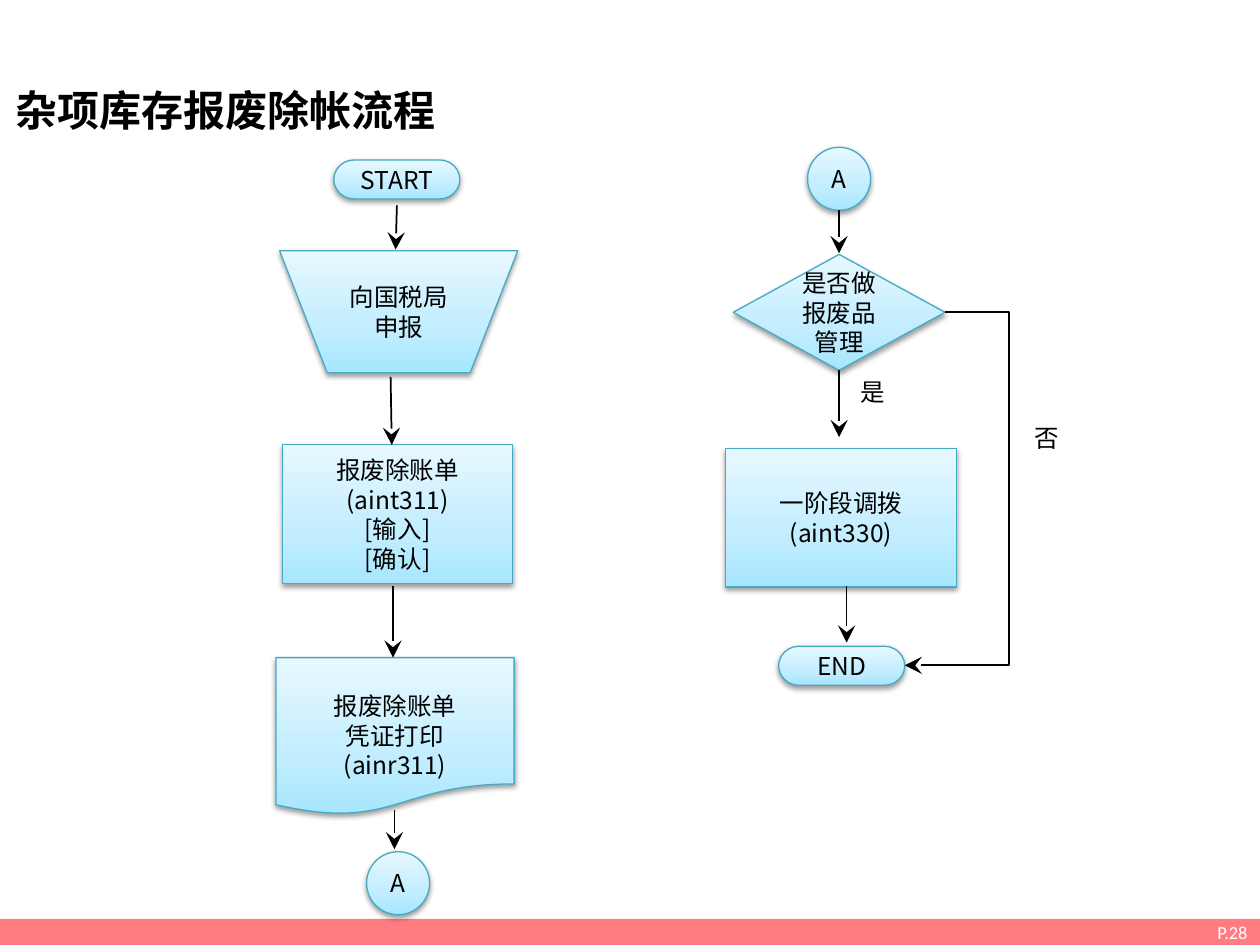
from pptx import Presentation
from pptx import oxml
from pptx.dml.color import RGBColor
from pptx.enum import shapes, text
from pptx.oxml import ns
from pptx.util import Pt

BLACK = RGBColor(0, 0, 0)
WHITE = RGBColor(255, 255, 255)
CORAL = RGBColor(0xFF, 0x7C, 0x80)
TEAL = RGBColor(0x46, 0xAA, 0xC5)
DEEP = RGBColor(0xA7, 0xE6, 0xFF)
MID = RGBColor(0xC1, 0xED, 0xFF)
PALE = RGBColor(0xE7, 0xF8, 0xFF)
SANS = "Noto Sans CJK SC"
KIND = shapes.MSO_SHAPE
LINK = shapes.MSO_CONNECTOR
ALIGN = text.PP_ALIGN
BODY = {"size": Pt(14), "name": SANS, "bold": False}
HEAD = {"size": Pt(24), "name": SANS, "bold": True}
FOOT = {"size": Pt(10.5), "name": "Calibri", "bold": False}
PILL = (72, 22.3)
DISC = (36, 36)
CARD = (131.8, 79.2)


def xml(tag, body="", attrs=""):
    """Make a drawing element from its tag, attributes and inner XML."""
    return oxml.parse_xml(f"<a:{tag} {ns.nsdecls('a')} {attrs}>{body}</a:{tag}>")


def write(frame, lines, style, color=BLACK, align=ALIGN.LEFT):
    """Fill a text frame with one paragraph for each line."""
    for i, line in enumerate(lines):
        para = frame.paragraphs[0] if i == 0 else frame.add_paragraph()
        para.alignment = align
        run = para.add_run()
        run.text = line
        for key, val in style.items():
            setattr(run.font, key, val)
        run.font.color.rgb = color
        run._r.get_or_add_rPr().append(xml("ea", attrs=f'typeface="{style["name"]}"'))


def node(slide, box, kind, spot, size, lines, top=3.6):
    """Draw a shaded flow step at a spot within the box."""
    step = slide.shapes.add_shape(
        kind, Pt(box[0] + spot[0]), Pt(box[1] + spot[1]), Pt(size[0]), Pt(size[1]))
    step.line.color.rgb = TEAL
    step.line.width = Pt(0.75)
    stops = "".join(f'<a:gs pos="{pos}000"><a:srgbClr val="{hue}"/></a:gs>'
                    for pos, hue in ((0, DEEP), (35, MID), (100, PALE)))
    edge = step.line._get_or_add_ln()
    edge.addprevious(xml("gradFill", f'<a:gsLst>{stops}</a:gsLst>'
                         '<a:lin ang="16200000" scaled="0"/>', 'rotWithShape="1"'))
    edge.addnext(xml("effectLst", f'<a:outerShdw blurRad="{Pt(3.1)}" dist="{Pt(1.6)}" '
                     'dir="5400000" rotWithShape="0"><a:srgbClr val="000000">'
                     '<a:alpha val="38000"/></a:srgbClr></a:outerShdw>'))
    frame = step.text_frame
    frame.word_wrap = True
    frame.vertical_anchor = text.MSO_ANCHOR.MIDDLE
    frame.margin_top = Pt(top)
    write(frame, lines, BODY, align=ALIGN.CENTER)


def arrow(slide, box, start, end, kind=LINK.STRAIGHT, bend=None):
    """Draw a black arrow between two spots within the box."""
    x, y = box
    link = slide.shapes.add_connector(
        kind, Pt(x + start[0]), Pt(y + start[1]), Pt(x + end[0]), Pt(y + end[1]))
    link.line.color.rgb = BLACK
    link.line.width = Pt(1)
    edge = link.line._get_or_add_ln()
    edge.append(xml("tailEnd", attrs='type="stealth" w="lg" len="lg"'))
    edge.addnext(xml("effectLst"))
    if bend is not None:
        guides = link._element.spPr.prstGeom.get_or_add_avLst()
        guides.append(xml("gd", attrs=f'name="adj1" fmla="val {round(bend * 100000)}"'))


def label(slide, box, spot, word):
    """Write a branch label at a spot within the box."""
    note = slide.shapes.add_textbox(
        Pt(box[0] + spot[0]), Pt(box[1] + spot[1]), Pt(28.1), Pt(25.2))
    note.text_frame.word_wrap = False
    write(note.text_frame, [word], BODY)


def title(slide, box):
    """Place the heading in the title placeholder."""
    head = slide.shapes.title
    for key, val in zip(("left", "top", "width", "height"), box):
        setattr(head, key, Pt(val))
    frame = head.text_frame
    looks = {"word_wrap": True, "vertical_anchor": text.MSO_ANCHOR.TOP,
             "auto_size": text.MSO_AUTO_SIZE.SHAPE_TO_FIT_TEXT}
    for key, val in looks.items():
        setattr(frame, key, val)
    write(frame, ["杂项库存报废除帐流程"], HEAD)


def footer(slide, box):
    """Draw the page band with its number."""
    band = slide.shapes.add_shape(KIND.RECTANGLE, *map(Pt, box))
    band.shadow.inherit = False
    band.fill.solid()
    band.fill.fore_color.rgb = CORAL
    band.line.fill.background()
    band.text_frame.vertical_anchor = text.MSO_ANCHOR.MIDDLE
    write(band.text_frame, ["P.28"], FOOT, WHITE, ALIGN.RIGHT)


def report(slide, box):
    """Draw the left column, from the start to link A."""
    steps = (
        (KIND.FLOWCHART_TERMINATOR, (33.1, 0), PILL, ["START"]),
        (KIND.FLOWCHART_MANUAL_OPERATION, (2.1, 51.9), (136.1, 69.8), ["向国税局申报"]),
        (KIND.RECTANGLE, (3.6, 162.8), CARD, ["报废除账单(aint311)", "[输入]", "[确认]"]),
        (KIND.FLOWCHART_DOCUMENT, (0, 284.4), (136.1, 90),
         ["报废除账单", "凭证打印", "(ainr311)"], 20.4),
        (KIND.FLOWCHART_CONNECTOR, (51.8, 395.3), DISC, ["A"]),
    )
    for step in steps:
        node(slide, box, *step)
    for start, end in (((69.1, 26), (68.4, 51.2)), ((65.5, 123.9), (66.2, 162.8)),
                       ((66.9, 243.4), (66.9, 284.4)), ((67.7, 371.6), (67.7, 393.9))):
        arrow(slide, box, start, end)


def decide(slide, box):
    """Draw the right column, from link A to the end."""
    steps = (
        (KIND.FLOWCHART_CONNECTOR, (46.8, 0), DISC, ["A"]),
        (KIND.FLOWCHART_DECISION, (4.3, 61.2), (121, 66.2), ["是否做报废品管理"]),
        (KIND.RECTANGLE, (0, 172.1), CARD, ["一阶段调拨(aint330)"]),
        (KIND.FLOWCHART_TERMINATOR, (30.3, 285.1), PILL, ["END"]),
    )
    for step in steps:
        node(slide, box, *step)
    for x, top, low in ((64.8, 36, 60.5), (64.8, 127.4, 165.6), (69.1, 250.6, 283)):
        arrow(slide, box, (x, top), (x, low))
    arrow(slide, box, (125.3, 94.3), (102.3, 296), LINK.ELBOW, -1.59)
    label(slide, box, (69.9, 127.5), "是")
    label(slide, box, (169.2, 154.1), "否")


def main():
    """Build and save the slide."""
    deck = Presentation()
    deck.slide_width, deck.slide_height = Pt(720), Pt(540)
    slide = deck.slides.add_slide(deck.slide_layouts[5])
    footer(slide, (0, 525, 720, 15))
    title(slide, (1.4, 44.6, 300.2, 38.2))
    report(slide, (157.7, 91.4))
    decide(slide, (414.7, 84.2))
    deck.save("out.pptx")


if __name__ == "__main__":
    main()
